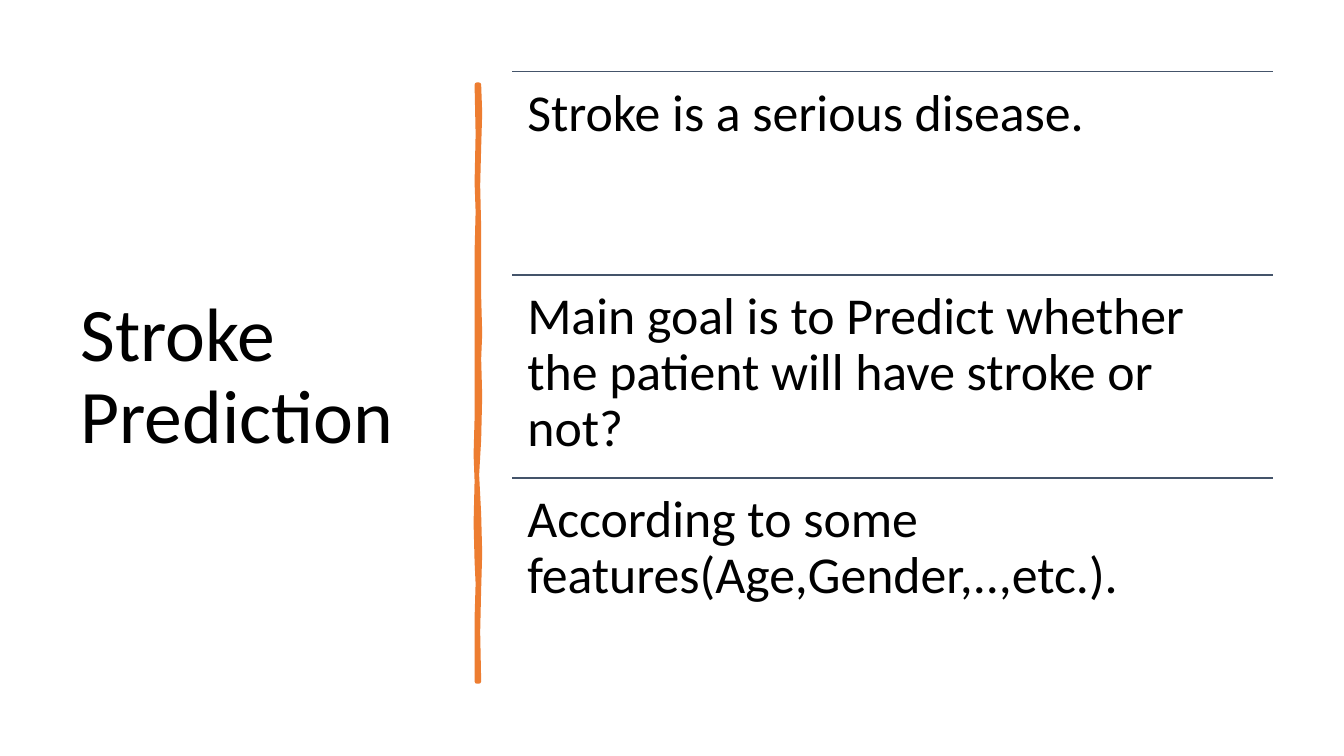
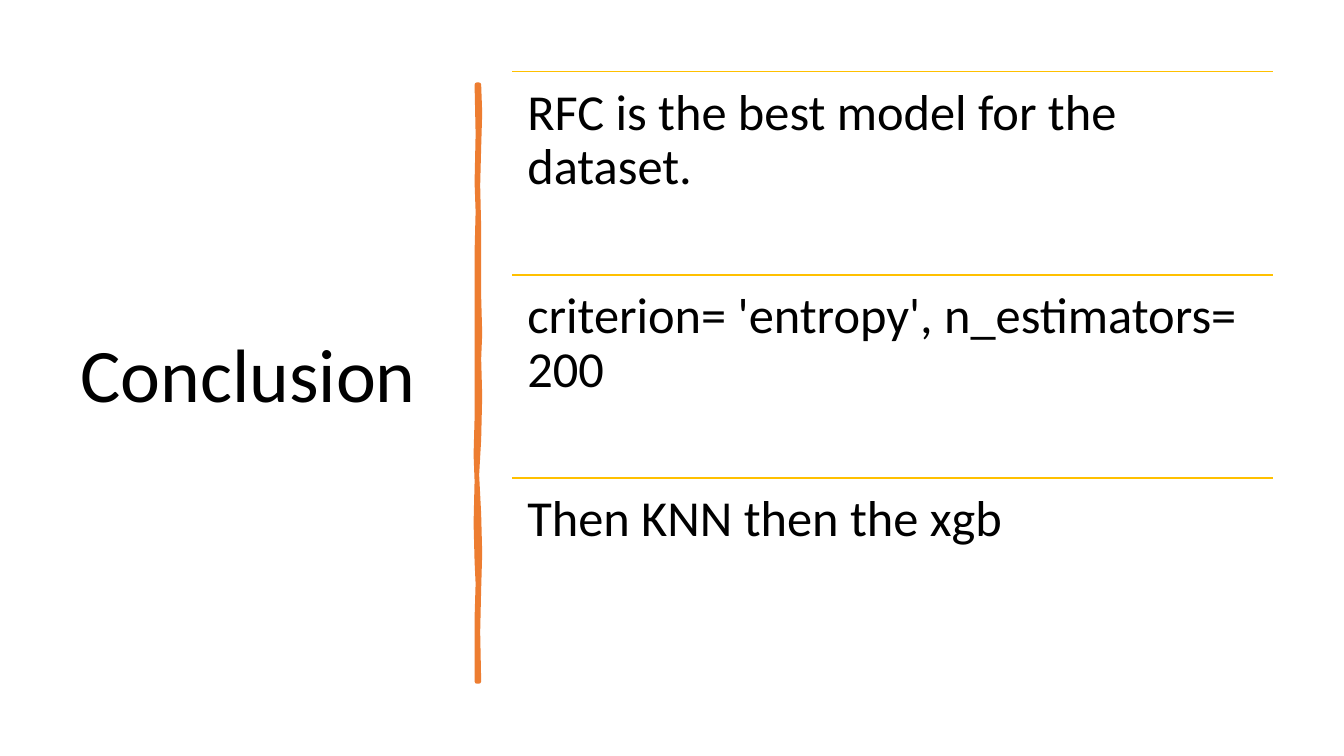
from lxml import etree
from pptx import Presentation
from pptx.dml.color import RGBColor
from pptx.enum.shapes import MSO_CONNECTOR
from pptx.enum.text import MSO_ANCHOR
from pptx.oxml.ns import qn
from pptx.util import Inches, Pt

STRAIGHT = MSO_CONNECTOR.STRAIGHT
TOP = MSO_ANCHOR.TOP
MIDDLE = MSO_ANCHOR.MIDDLE

COLOURS = {
    "text": "000000",
    "brush": "ED7D31",
    "slate": "44546A",
    "gold": "FFC000",
}
FONT = "Calibri"
TITLE_SIZE = 54
LIST_LEFT, LIST_TOP = 5.08, 0.71
LIST_WIDTH, LIST_HEIGHT = 7.55, 6.05

BRUSH_OUTLINE = [
    (4.75, 0.84), (4.76, 1.12), (4.75, 1.46), (4.74, 1.84), (4.75, 2.26),
    (4.75, 2.6), (4.75, 2.94), (4.76, 3.31), (4.75, 3.56), (4.76, 3.93),
    (4.75, 4.36), (4.73, 4.71), (4.75, 5.1), (4.76, 5.49), (4.75, 5.84),
    (4.74, 6.27), (4.75, 6.76), (4.73, 6.76), (4.73, 6.45), (4.73, 6.13),
    (4.74, 5.79), (4.73, 5.57), (4.72, 5.19), (4.73, 4.77), (4.72, 4.51),
    (4.73, 4.15), (4.73, 3.79), (4.73, 3.35), (4.73, 2.9), (4.73, 2.5),
    (4.74, 2.1), (4.73, 1.81), (4.74, 1.33), (4.73, 0.84),
]

SLIDES = [
    {
        "title": "Stroke Prediction",
        "colour": "slate",
        "size": 37,
        "items": [
            "Stroke is a serious disease.",
            "Main goal is to Predict whether the patient will have stroke or not?",
            "According to some features(Age,Gender,..,etc.).",
        ],
    },
    {
        "title": "Conclusion",
        "colour": "gold",
        "size": 36,
        "items": [
            "RFC is the best model for the dataset.",
            "criterion= 'entropy', n_estimators= 200",
            "Then KNN then the xgb",
        ],
    },
]


def colour(name):
    """Return the named colour of the deck."""
    return RGBColor.from_string(COLOURS[name])


def set_attributes(target, values):
    """Set each attribute of the target from a dict."""
    for name, value in values.items():
        setattr(target, name, value)


class Deck:
    """Holds the shared style, the presentation and the current slide."""

    def __init__(self):
        """Start an empty widescreen presentation."""
        self.presentation = Presentation()
        self.presentation.slide_width = Inches(13.33)
        self.presentation.slide_height = Inches(7.5)
        self.slide = None

    def add_slide(self):
        """Add a blank slide and make it current."""
        layout = self.presentation.slide_layouts[6]
        self.slide = self.presentation.slides.add_slide(layout)

    def add_text(self, text, left, top, width, height, size, margin, anchor):
        """Add a wrapped text box in the deck's font."""
        box = self.slide.shapes.add_textbox(
            Inches(left), Inches(top), Inches(width), Inches(height)
        )
        frame = box.text_frame
        frame_format = {"word_wrap": True, "vertical_anchor": anchor}
        for side in ("left", "right", "top", "bottom"):
            frame_format[f"margin_{side}"] = Inches(margin)
        set_attributes(frame, frame_format)
        paragraph = frame.paragraphs[0]
        paragraph.text = text
        paragraph.line_spacing = 0.9
        font = paragraph.runs[0].font
        set_attributes(font, {"name": FONT, "size": Pt(size)})
        font.color.rgb = colour("text")

    def add_title(self, text):
        """Add the title in the left column."""
        self.add_text(text, 0.7, 0.7, 3.74, 6.1, TITLE_SIZE, 0.1, MIDDLE)

    def add_brush_stroke(self):
        """Add the uneven vertical stroke between title and list."""
        points = [(Inches(x), Inches(y)) for x, y in BRUSH_OUTLINE]
        builder = self.slide.shapes.build_freeform(*points[0])
        builder.add_line_segments(points[1:], close=True)
        shape = builder.convert_to_shape()
        shape.shadow.inherit = False
        shape.fill.solid()
        shape.fill.fore_color.rgb = colour("brush")
        shape.line.color.rgb = colour("brush")
        shape.line.width = Pt(3.25)
        outline = shape._element.spPr.find(qn("a:ln"))
        etree.SubElement(outline, qn("a:round"))

    def add_rule(self, top, colour_name):
        """Add a thin horizontal line above a list row."""
        rule = self.slide.shapes.add_connector(
            STRAIGHT,
            Inches(LIST_LEFT),
            Inches(top),
            Inches(LIST_LEFT + LIST_WIDTH),
            Inches(top),
        )
        rule.line.color.rgb = colour(colour_name)
        rule.line.width = Pt(1)
        etree.SubElement(rule._element.spPr, qn("a:effectLst"))

    def add_list(self, items, size, colour_name):
        """Add equal rows, each with a line above its text."""
        row_height = LIST_HEIGHT / len(items)
        for index, item in enumerate(items):
            top = LIST_TOP + index * row_height
            self.add_rule(top, colour_name)
            self.add_text(
                item, LIST_LEFT, top, LIST_WIDTH, row_height, size, 0.15, TOP
            )


def main():
    """Build the slides and save them."""
    deck = Deck()
    for content in SLIDES:
        deck.add_slide()
        deck.add_title(content["title"])
        deck.add_brush_stroke()
        deck.add_list(content["items"], content["size"], content["colour"])
    deck.presentation.save("out.pptx")


if __name__ == "__main__":
    main()
